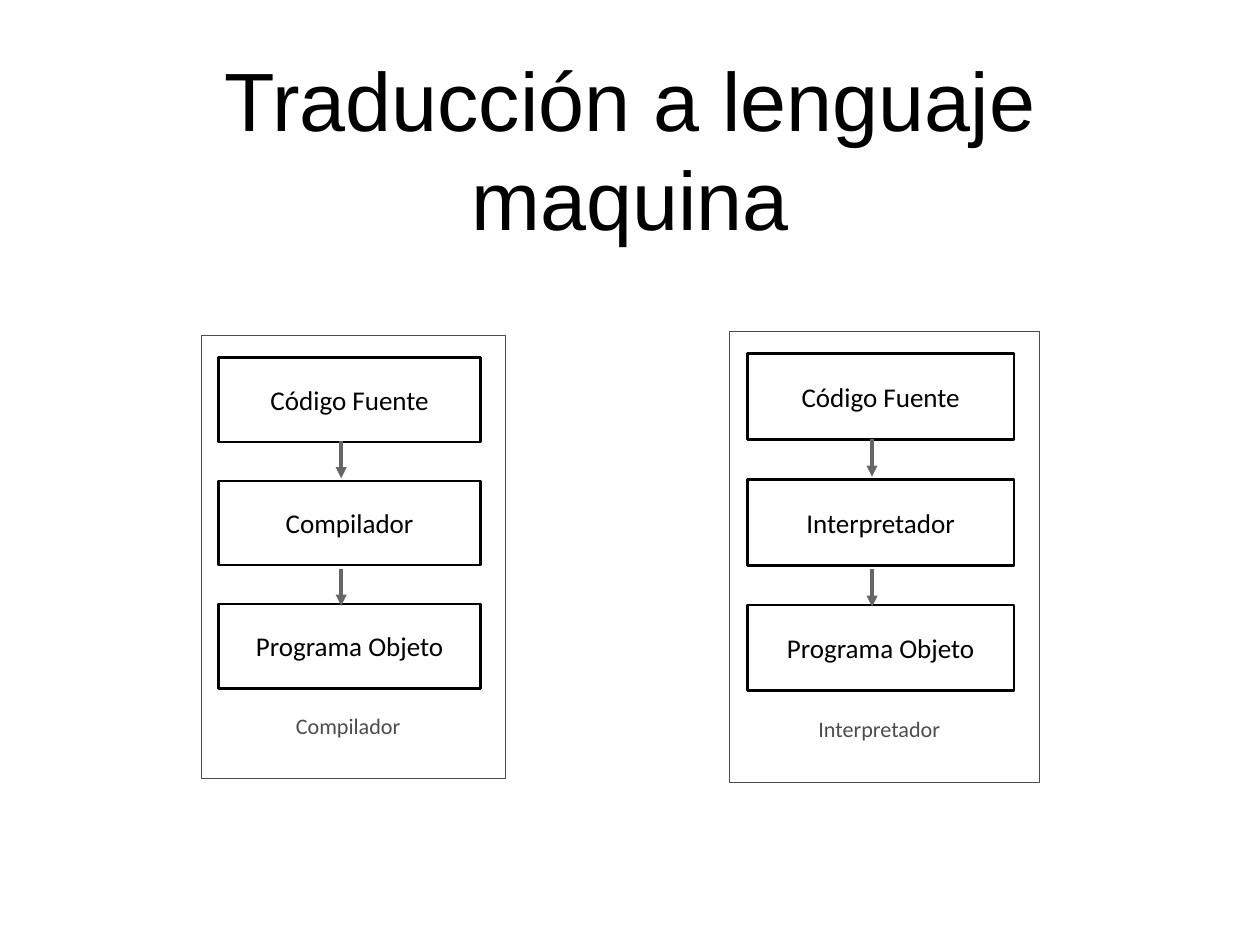
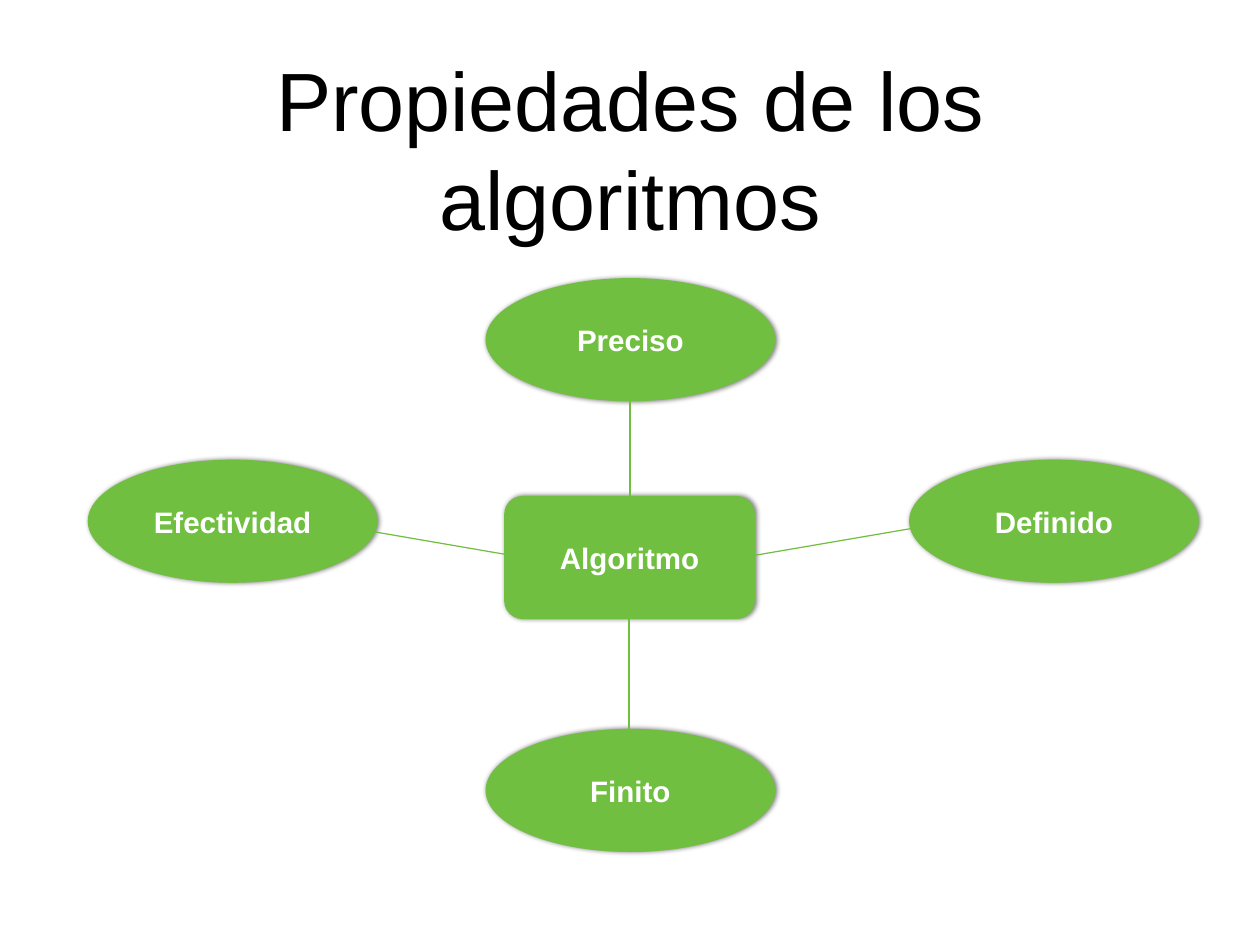
from dataclasses import dataclass

from pptx import Presentation
from pptx.dml.color import RGBColor
from pptx.enum.shapes import MSO_CONNECTOR as Connector, MSO_SHAPE as Shape
from pptx.enum.text import MSO_ANCHOR as Anchor, MSO_AUTO_SIZE as AutoSize, PP_ALIGN as Align
from pptx.oxml import parse_xml
from pptx.oxml.ns import nsdecls
from pptx.util import Inches, Pt


@dataclass(frozen=True)
class Theme:
    ink: str = "000000"
    frame: str = "4C4C4C"
    arrow: str = "666666"
    green: str = "70BF41"
    white: str = "FFFFFF"
    heading_font: str = "Arial"
    diagram_font: str = "Calibri"
    title_size: float = 67.2
    node_size: float = 24
    step_size: float = 22
    caption_size: float = 18


THEME = Theme()
TITLE_ONLY = 5

# Flow geometry, measured from the frame's top left corner at scale 1
FRAME_SIZE = (3.43, 5)
STEP_LEFT, STEP_TOP, STEP_PITCH = 0.2, 0.25, 1.39
STEP_SIZE = (2.95, 0.95)
ARROW_X, ARROW_TOP, ARROW_PITCH, ARROW_LENGTH = 1.58, 1.19, 1.44, 0.42
CAPTION_BOX = (0.28, 4.2, 2.76, 0.49)

FLOWS = [
    ("Compilador", 2.27, 3.79, 1),
    ("Interpretador", 8.23, 3.74, 1.02),
]

NODE_HEIGHT = 1.39
OVAL_WIDTH = 3.27
CORE_BOX = (5.69, 5.6, 2.83, NODE_HEIGHT)
# Property, left and top of its oval, start and end of its link
PROPERTIES = [
    ("Preciso", 5.48, 3.14, (7.11, 5.66), (7.11, 4.48)),
    ("Definido", 10.26, 5.19, (8.23, 6.32), (10.33, 5.96)),
    ("Efectividad", 0.99, 5.19, (5.94, 6.3), (4.02, 5.97)),
    ("Finito", 5.48, 8.23, (7.1, 6.73), (7.1, 8.31)),
]


def color(code):
    return RGBColor.from_string(code)


def inches(values):
    return [Inches(value) for value in values]


def write(holder, text, font, size, ink, bold=False, inset=0.06, anchor=Anchor.MIDDLE):
    frame = holder.text_frame
    frame.word_wrap = True
    frame.auto_size = AutoSize.NONE
    frame.vertical_anchor = anchor
    frame.margin_left = frame.margin_right = Inches(inset)
    frame.margin_top = frame.margin_bottom = Inches(inset)
    paragraph = frame.paragraphs[0]
    paragraph.alignment = Align.CENTER
    run = paragraph.add_run()
    run.text = text
    run.font.name = font
    run.font.size = Pt(size)
    run.font.bold = bold
    run.font.color.rgb = color(ink)


def add_titled_slide(deck, text):
    slide = deck.slides.add_slide(deck.slide_layouts[TITLE_ONLY])
    title = slide.shapes.title
    title.left, title.top, title.width, title.height = inches((1.04, 0.49, 12.14, 2.36))
    write(title, text, THEME.heading_font, THEME.title_size, THEME.ink)
    return slide


def add_outline(shapes, box, ink, weight):
    outline = shapes.add_shape(Shape.RECTANGLE, *inches(box))
    outline.shadow.inherit = False
    outline.fill.background()
    outline.line.color.rgb = color(ink)
    outline.line.width = Pt(weight)
    return outline


def add_line(shapes, start, end, ink, weight, arrow=False):
    line = shapes.add_connector(Connector.STRAIGHT, *inches((*start, *end)))
    line.line.color.rgb = color(ink)
    line.line.width = Pt(weight)
    if arrow:
        line.line._get_or_add_ln().append(
            parse_xml(f'<a:tailEnd {nsdecls("a")} type="triangle"/>'))
    line._element.spPr.append(parse_xml(f'<a:effectLst {nsdecls("a")}/>'))


def add_flow(slide, translator, left, top, scale):
    """Draw the framed steps from source code to object program."""
    shapes = slide.shapes.add_group_shape().shapes

    def place(x, y, width, height):
        return left + x * scale, top + y * scale, width * scale, height * scale

    for row, step in enumerate(("Código Fuente", translator, "Programa Objeto")):
        box = place(STEP_LEFT, STEP_TOP + row * STEP_PITCH, *STEP_SIZE)
        write(add_outline(shapes, box, THEME.ink, 2.25), step,
              THEME.diagram_font, THEME.step_size, THEME.ink, inset=0.1)
    for row in range(2):
        x, y, _, length = place(ARROW_X, ARROW_TOP + row * ARROW_PITCH, 0, ARROW_LENGTH)
        add_line(shapes, (x, y), (x, y + length), THEME.arrow, 3, arrow=True)
    add_outline(shapes, place(0, 0, *FRAME_SIZE), THEME.frame, 0.75)
    caption = shapes.add_textbox(*inches(place(*CAPTION_BOX)))
    write(caption, translator, THEME.diagram_font, THEME.caption_size, THEME.frame,
          inset=0.05, anchor=Anchor.TOP)


def add_node(slide, preset, box, text):
    """Draw a green node with a soft shadow."""
    node = slide.shapes.add_shape(preset, *inches(box))
    node.fill.solid()
    node.fill.fore_color.rgb = color(THEME.green)
    node.line.fill.background()
    node._element.spPr.append(parse_xml(
        f'<a:effectLst {nsdecls("a")}>'
        f'<a:outerShdw blurRad="{Pt(4)}" dist="{Pt(1)}" dir="0" rotWithShape="0">'
        f'<a:srgbClr val="{THEME.ink}"><a:alpha val="50000"/></a:srgbClr>'
        '</a:outerShdw></a:effectLst>'))
    write(node, text, THEME.heading_font, THEME.node_size, THEME.white, bold=True)
    return node


def add_translation_slide(deck):
    slide = add_titled_slide(deck, "Traducción a lenguaje maquina")
    for flow in FLOWS:
        add_flow(slide, *flow)


def add_properties_slide(deck):
    slide = add_titled_slide(deck, "Propiedades de los algoritmos")
    core = add_node(slide, Shape.ROUNDED_RECTANGLE, CORE_BOX, "Algoritmo")
    core.adjustments[0] = 0.15
    for name, left, top, _, _ in PROPERTIES:
        add_node(slide, Shape.OVAL, (left, top, OVAL_WIDTH, NODE_HEIGHT), name)
    for _, _, _, start, end in PROPERTIES:
        add_line(slide.shapes, start, end, THEME.green, 1)


def main():
    deck = Presentation()
    deck.slide_width, deck.slide_height = inches((14.22, 10.67))
    add_translation_slide(deck)
    add_properties_slide(deck)
    deck.save("out.pptx")


if __name__ == "__main__":
    main()
